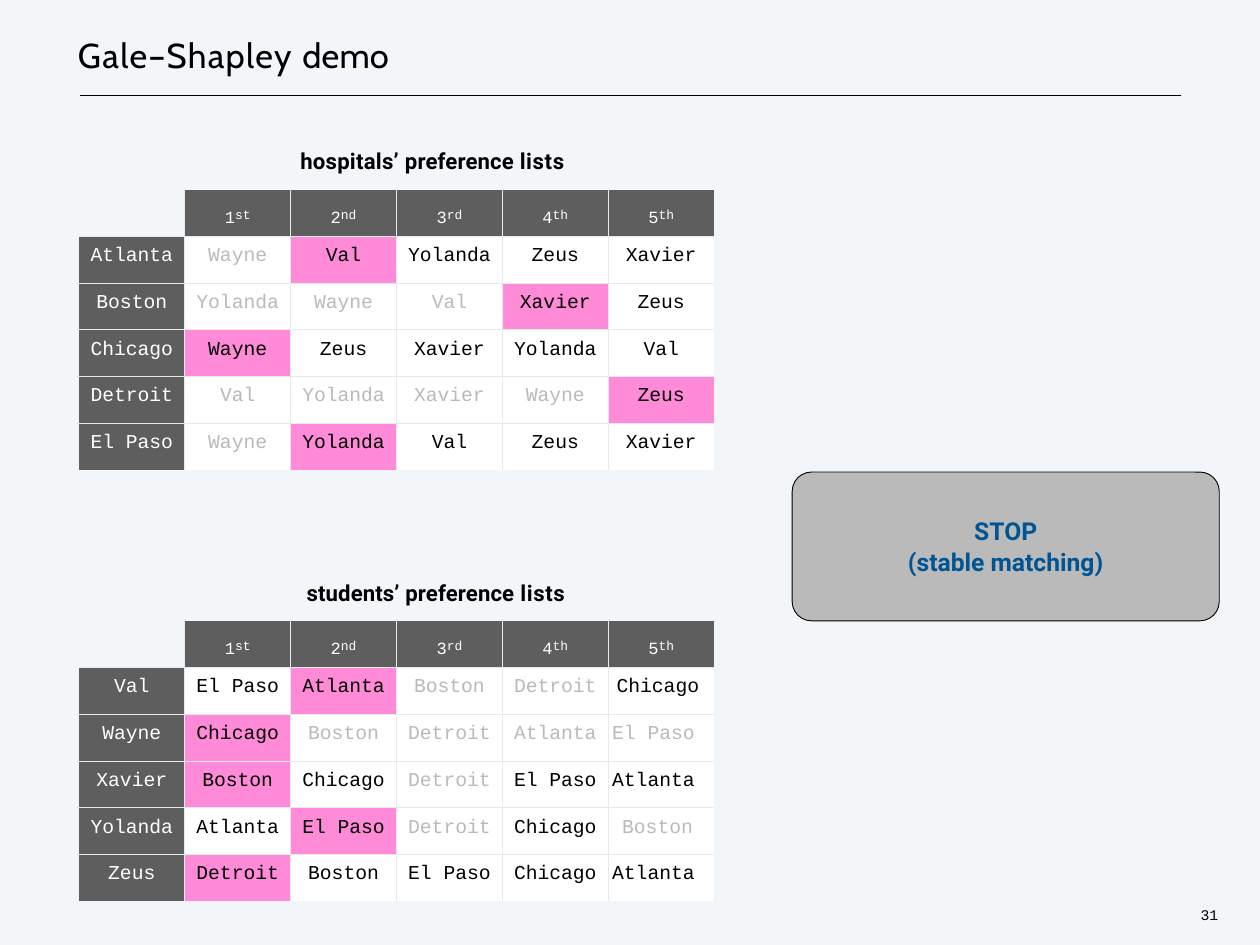
from dataclasses import dataclass

from lxml.etree import SubElement
from pptx import Presentation
from pptx.dml.color import RGBColor
from pptx.enum.shapes import MSO_CONNECTOR, MSO_SHAPE
from pptx.enum.text import MSO_ANCHOR, PP_ALIGN
from pptx.oxml.ns import qn
from pptx.util import Inches, Pt


@dataclass(frozen=True)
class Theme:
    page: str = "F2F6F9"
    ink: str = "000000"
    header: str = "5E5E5E"
    header_ink: str = "FFFFFF"
    cell: str = "FFFFFF"
    match: str = "FF8AD8"
    faded: str = "BABABA"
    grid: str = "E7EAEB"
    stop: str = "005493"
    title_font: str = "Cabin"
    label_font: str = "Roboto"
    code_font: str = "Courier New"
    title_size: float = 28
    label_size: float = 18
    stop_size: float = 20
    cell_size: float = 16
    rank_size: float = 24
    ordinal_size: float = 10.5
    number_size: float = 12


THEME = Theme()
NO_STYLE = "{2D5ABB26-0587-4C30-8999-92F81FD0307C}"
RANKS = [("1", "st"), ("2", "nd"), ("3", "rd"), ("4", "th"), ("5", "th")]
HOSPITALS = {
    "Atlanta": ["Wayne", "Val", "Yolanda", "Zeus", "Xavier"],
    "Boston": ["Yolanda", "Wayne", "Val", "Xavier", "Zeus"],
    "Chicago": ["Wayne", "Zeus", "Xavier", "Yolanda", "Val"],
    "Detroit": ["Val", "Yolanda", "Xavier", "Wayne", "Zeus"],
    "El Paso": ["Wayne", "Yolanda", "Val", "Zeus", "Xavier"],
}
STUDENTS = {
    "Val": ["El Paso", "Atlanta", "Boston", "Detroit", "Chicago"],
    "Wayne": ["Chicago", "Boston", "Detroit", "Atlanta", "El Paso"],
    "Xavier": ["Boston", "Chicago", "Detroit", "El Paso", "Atlanta"],
    "Yolanda": ["Atlanta", "El Paso", "Detroit", "Chicago", "Boston"],
    "Zeus": ["Detroit", "Boston", "El Paso", "Chicago", "Atlanta"],
}
MATCHES = {"Atlanta": "Val", "Boston": "Xavier", "Chicago": "Wayne",
           "Detroit": "Zeus", "El Paso": "Yolanda"}
MATCHED = {frozenset(pair) for pair in MATCHES.items()}
REJECTED = {
    frozenset((hospital, student))
    for hospital, ranking in HOSPITALS.items()
    for student in ranking[:ranking.index(MATCHES[hospital])]
}


def color(value):
    return RGBColor.from_string(value)


def write(para, text, *, font, size, ink=THEME.ink, bold=False, spacing=0, baseline=0):
    span = para.add_run()
    span.text = text
    span.font.name = font
    span.font.size = Pt(size)
    span.font.bold = bold
    span.font.color.rgb = color(ink)
    properties = span._r.get_or_add_rPr()
    if spacing:
        properties.set("spc", str(round(spacing * 100)))
    if baseline:
        properties.set("baseline", str(baseline * 1000))


def add_label(page, left, top, width, height, spans, **style):
    box = page.shapes.add_textbox(Inches(left), Inches(top), Inches(width), Inches(height))
    frame = box.text_frame
    frame.word_wrap = True
    frame.margin_left = frame.margin_right = frame.margin_bottom = 0
    frame.margin_top = Inches(0.01)
    para = frame.paragraphs[0]
    para.space_before = Pt(1)
    for text, spacing in spans:
        write(para, text, spacing=spacing, **style)


def add_heading(page, left, top, width):
    add_label(page, left, top, width, 0.49, [("Gale–Shapley ", 1.1), ("demo", 0.2)],
              font=THEME.title_font, size=THEME.title_size)
    rule_top = Inches(top + 0.7)
    rule = page.shapes.add_connector(MSO_CONNECTOR.STRAIGHT, Inches(left + 0.02), rule_top,
                                     Inches(left + width), rule_top)
    rule.line.color.rgb = color(THEME.ink)
    rule.line.width = Pt(1)
    SubElement(rule._element.spPr, qn("a:effectLst"))


def style_cell(cell, fill, edges, margin_top):
    properties = cell._tc.get_or_add_tcPr()
    for edge in edges:
        line = SubElement(properties, qn(f"a:ln{edge}"), w=str(Pt(1)))
        SubElement(SubElement(line, qn("a:solidFill")), qn("a:srgbClr"), val=THEME.grid)
    cell.fill.solid()
    cell.fill.fore_color.rgb = color(fill)
    cell.margin_left = cell.margin_right = cell.margin_bottom = 0
    cell.margin_top = Inches(margin_top)


def add_preferences(page, left, top, width, height, caption, caption_left, lists,
                    right_insets=None):
    add_label(page, caption_left, top - 0.48, 3.5, 0.33, caption,
              font=THEME.label_font, size=THEME.label_size, bold=True)
    count = len(RANKS) + 1
    table = page.shapes.add_table(count, count, Inches(left), Inches(top),
                                  Inches(width), Inches(height)).table
    table._tbl.tblPr.find(qn("a:tableStyleId")).text = NO_STYLE
    table.first_row = table.horz_banding = False
    for column in table.columns:
        column.width = Inches(width / count)
    for row in table.rows:
        row.height = Inches(height / count)

    owners = list(lists)
    for row in range(count):
        for column in range(count):
            cell = table.cell(row, column)
            inner = {"L": column > 0, "R": column < count - 1,
                     "T": row > 0, "B": row < count - 1}
            edges = [edge for edge, drawn in inner.items() if drawn]
            para = cell.text_frame.paragraphs[0]
            para.alignment = PP_ALIGN.CENTER
            if row == 0:
                style_cell(cell, THEME.header if column else THEME.page, edges, 0.06)
                if column:
                    rank, ordinal = RANKS[column - 1]
                    para.space_before = Pt(4.1)
                    write(para, rank, font=THEME.code_font, size=THEME.rank_size,
                          ink=THEME.header_ink, baseline=-14)
                    write(para, ordinal, font=THEME.code_font, size=THEME.ordinal_size,
                          ink=THEME.header_ink)
                continue
            owner = owners[row - 1]
            name, fill, ink = owner, THEME.header, THEME.header_ink
            if column:
                name = lists[owner][column - 1]
                pair = frozenset((owner, name))
                fill = THEME.match if pair in MATCHED else THEME.cell
                ink = THEME.faded if pair in REJECTED else THEME.ink
            style_cell(cell, fill, edges, 0.1)
            para.space_before = Pt(7)
            if right_insets and column == count - 1:
                para.alignment = PP_ALIGN.RIGHT
                cell.margin_right = Inches(right_insets[row - 1])
            write(para, name, font=THEME.code_font, size=THEME.cell_size, ink=ink)


def add_stop_panel(page, left, top, width, height):
    panel = page.shapes.add_shape(MSO_SHAPE.ROUNDED_RECTANGLE, Inches(left), Inches(top),
                                  Inches(width), Inches(height))
    panel.adjustments[0] = 0.13
    panel.shadow.inherit = False
    panel.fill.solid()
    panel.fill.fore_color.rgb = color(THEME.faded)
    panel.line.color.rgb = color(THEME.ink)
    panel.line.width = Pt(0.75)
    frame = panel.text_frame
    frame.vertical_anchor = MSO_ANCHOR.MIDDLE
    for index, text in enumerate(["STOP", "(stable matching)"]):
        para = frame.add_paragraph() if index else frame.paragraphs[0]
        para.alignment = PP_ALIGN.CENTER
        para.space_before = Pt(1)
        write(para, text, font=THEME.label_font, size=THEME.stop_size,
              ink=THEME.stop, bold=True)


def main():
    deck = Presentation()
    deck.slide_width = Inches(14.22)
    deck.slide_height = Inches(10.67)
    page = deck.slides.add_slide(deck.slide_layouts[6])
    page.background.fill.solid()
    page.background.fill.fore_color.rgb = color(THEME.page)

    add_heading(page, 0.88, 0.38, 12.45)
    add_preferences(page, 0.89, 2.14, 7.17, 3.17,
                    [("hospitals’ ", 0.2), ("preference ", 0.1), ("lists", 0.5)],
                    3.39, HOSPITALS)
    add_preferences(page, 0.89, 7.01, 7.17, 3.17,
                    [("students’ preference ", 0.1), ("lists", 0.5)],
                    3.46, STUDENTS, right_insets=[0.17, 0.22, 0.22, 0.24, 0.22])
    add_stop_panel(page, 8.94, 5.33, 4.82, 1.68)
    add_label(page, 13.55, 10.22, 0.29, 0.23, [("31", 0)],
              font=THEME.code_font, size=THEME.number_size)
    deck.save("out.pptx")


if __name__ == "__main__":
    main()
